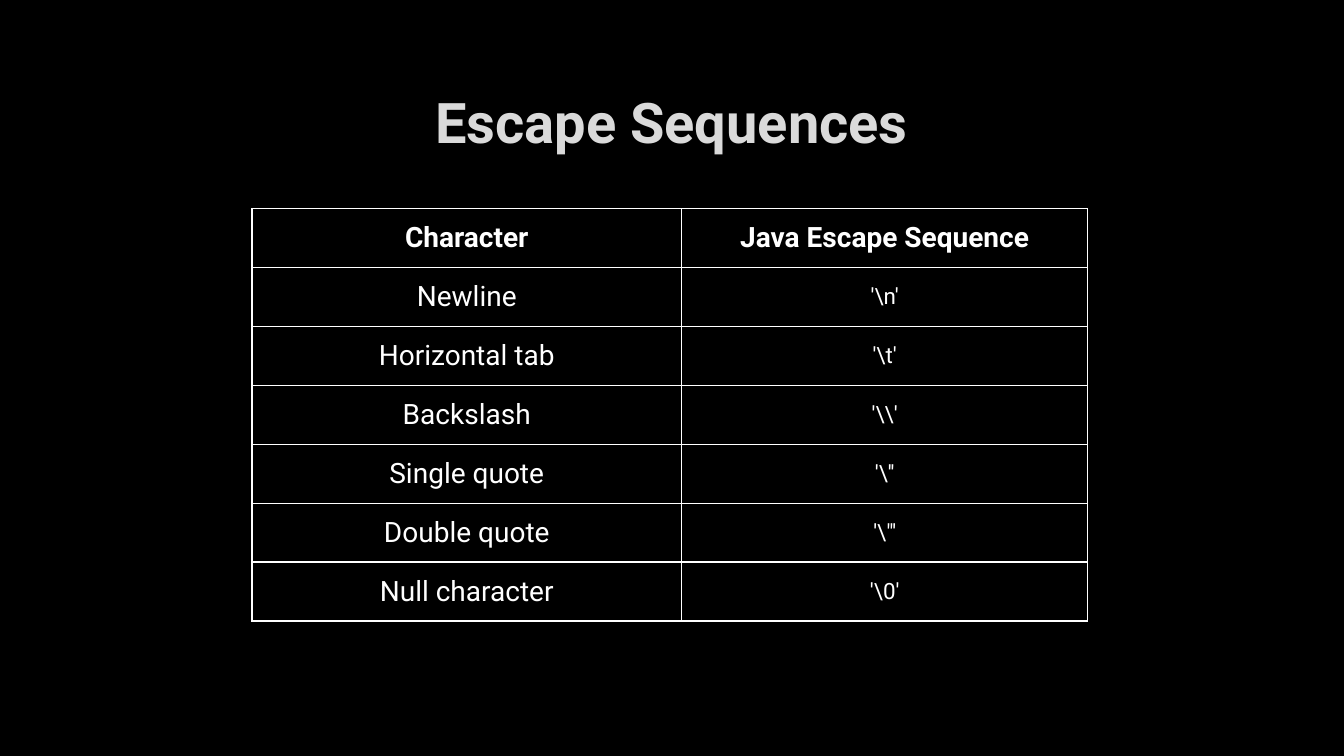
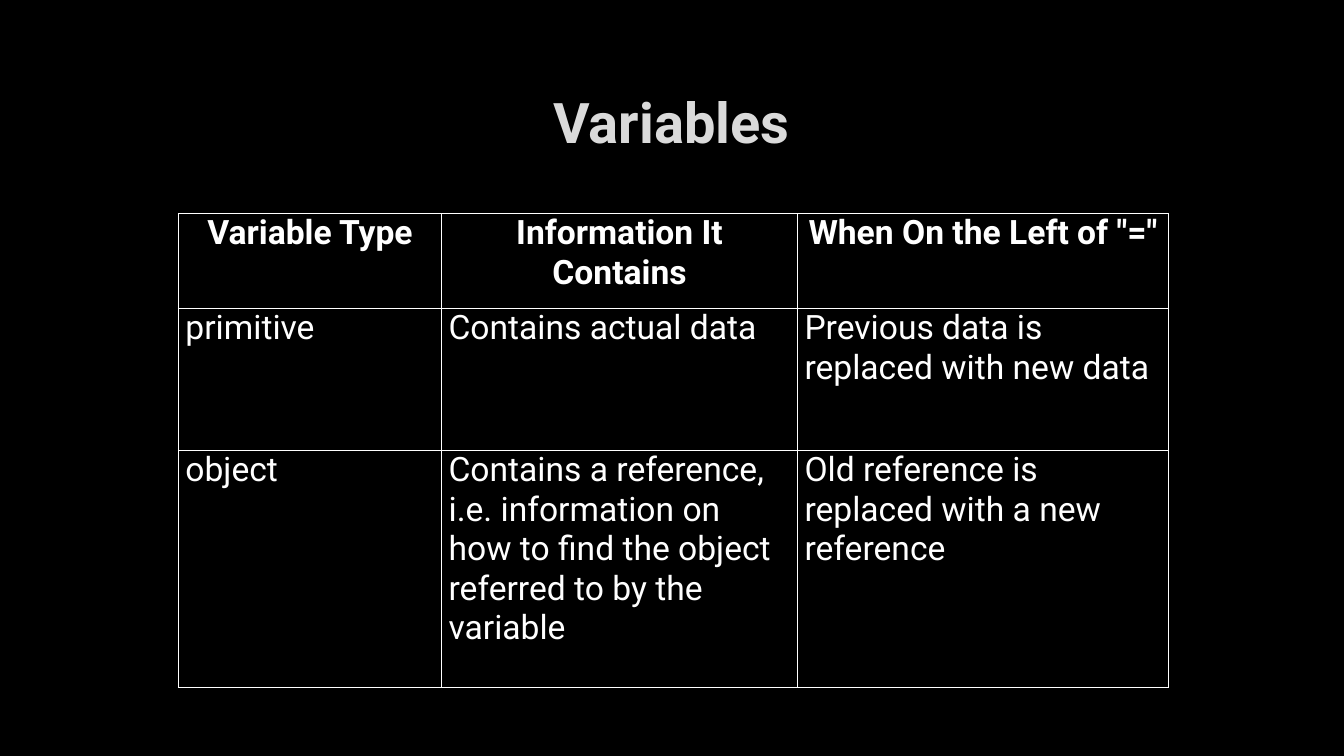
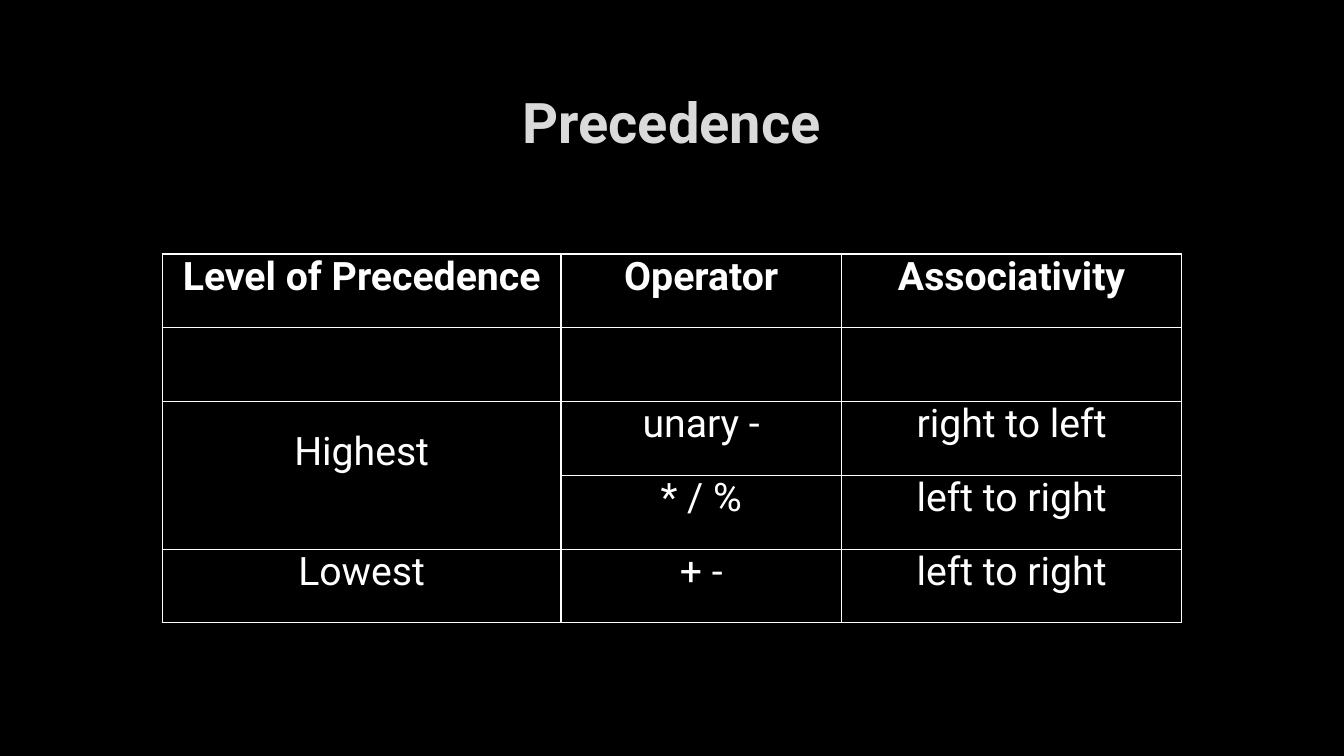
from lxml import etree
from pptx import Presentation
from pptx.dml.color import RGBColor
from pptx.enum.text import MSO_ANCHOR, PP_ALIGN
from pptx.oxml import ns
from pptx.util import Inches, Pt

COLORS = {"background": "000000", "title": "DADADA", "text": "FFFFFF", "border": "FFFFFF"}
FONT = "Roboto"
TITLE_BOX = (1, 0.67, 11.32, 1.06)
BORDER_WIDTH = Pt(1)
CELL_MARGINS = {"margin_left": 0.07, "margin_right": 0.07, "margin_top": 0, "margin_bottom": 0}

ESCAPE_SEQUENCES = {
    "title": "Escape Sequences",
    "box": (2.5, 2.07, 8.29, 4.09),
    "column_shares": (4.26, 4.03),
    "row_shares": (1,) * 7,
    "header_size": 20,
    "body_sizes": (20, 16),
    "body_align": PP_ALIGN.CENTER,
    "anchor": MSO_ANCHOR.MIDDLE,
    "rows": (
        ("Character", "Java Escape Sequence"),
        ("Newline", r"'\n'"),
        ("Horizontal tab", r"'\t'"),
        ("Backslash", r"'\\'"),
        ("Single quote", r"'\''"),
        ("Double quote", r"'\"'"),
        ("Null character", r"'\0'"),
    ),
}

VARIABLES = {
    "title": "Variables",
    "box": (1.77, 2.12, 9.82, 4.7),
    "column_shares": (2.61, 3.53, 3.68),
    "row_shares": (2, 3, 5),
    "header_size": 24,
    "body_sizes": (24, 24, 24),
    "body_align": PP_ALIGN.LEFT,
    "anchor": MSO_ANCHOR.TOP,
    "rows": (
        ("Variable Type", "Information It Contains", 'When On the Left of "="'),
        ("primitive", "Contains actual data", "Previous data is replaced with new data"),
        (
            "object",
            "Contains a reference, i.e. information on how to find the object "
            "referred to by the variable",
            "Old reference is replaced with a new reference",
        ),
    ),
}

PRECEDENCE = {
    "title": "Precedence",
    "box": (1.61, 2.52, 10.11, 3.66),
    "column_shares": (3.95, 2.78, 3.37),
    "row_shares": (1,) * 5,
    "header_size": 28,
    "body_sizes": (28, 28, 28),
    "body_align": PP_ALIGN.CENTER,
    "anchor": MSO_ANCHOR.TOP,
    "rows": (
        ("Level of Precedence", "Operator", "Associativity"),
        ("", "", ""),
        ("Highest", "unary -", "right to left"),
        ("", "* / %", "left to right"),
        ("Lowest", "+ -", "left to right"),
    ),
}


def set_attributes(target, values):
    for name, value in values.items():
        setattr(target, name, value)


def write_text(frame, content, size, color, bold, align):
    paragraph = frame.paragraphs[0]
    paragraph.alignment = align
    if not content:
        return
    run = paragraph.add_run()
    run.text = content
    set_attributes(run.font, {"name": FONT, "size": Pt(size), "bold": bold})
    run.font.color.rgb = RGBColor.from_string(COLORS[color])


def add_title(slide, box, title):
    frame = slide.shapes.add_textbox(*map(Inches, box)).text_frame
    set_attributes(frame, {"word_wrap": True, "vertical_anchor": MSO_ANCHOR.MIDDLE})
    write_text(frame, title, 40, "title", True, PP_ALIGN.CENTER)


def add_borders(cell):
    properties = cell._tc.get_or_add_tcPr()
    for side in ("lnL", "lnR", "lnT", "lnB"):
        line = etree.SubElement(properties, ns.qn(f"a:{side}"), w=str(BORDER_WIDTH))
        fill = etree.SubElement(line, ns.qn("a:solidFill"))
        etree.SubElement(fill, ns.qn("a:srgbClr"), val=COLORS["border"])


def share_out(tracks, total, shares):
    """Divide a length over table columns or rows in proportion to their shares."""
    for track, share in zip(tracks, shares):
        size = Inches(total * share / sum(shares))
        set_attributes(track, {"width" if hasattr(track, "width") else "height": size})


def add_grid_table(slide, box, content):
    rows = content["rows"]
    shape = slide.shapes.add_table(len(rows), len(rows[0]), *map(Inches, box))
    table = shape.table
    set_attributes(table, {"first_row": False, "horz_banding": False})
    share_out(table.columns, box[2], content["column_shares"])
    share_out(table.rows, box[3], content["row_shares"])
    for row_index, row in enumerate(rows):
        header = row_index == 0
        for column_index, value in enumerate(row):
            cell = table.cell(row_index, column_index)
            add_borders(cell)
            cell.fill.background()
            set_attributes(cell, {name: Inches(v) for name, v in CELL_MARGINS.items()})
            cell.vertical_anchor = content["anchor"]
            size = content["header_size"] if header else content["body_sizes"][column_index]
            align = PP_ALIGN.CENTER if header else content["body_align"]
            write_text(cell.text_frame, value, size, "text", header, align)
    return table


def add_table_slide(presentation, content):
    slide = presentation.slides.add_slide(presentation.slide_layouts[6])
    background = slide.background.fill
    background.solid()
    background.fore_color.rgb = RGBColor.from_string(COLORS["background"])
    add_title(slide, TITLE_BOX, content["title"])
    return add_grid_table(slide, content["box"], content)


def merge_highest_level(table):
    """Join the two rows of the highest level, its label one half line above the middle."""
    highest = table.cell(2, 0)
    highest.merge(table.cell(3, 0))
    set_attributes(
        highest, {"vertical_anchor": MSO_ANCHOR.MIDDLE, "margin_bottom": Inches(0.46)}
    )


def main():
    presentation = Presentation()
    set_attributes(
        presentation, {"slide_width": Inches(13.33), "slide_height": Inches(7.5)}
    )
    add_table_slide(presentation, ESCAPE_SEQUENCES)
    add_table_slide(presentation, VARIABLES)
    merge_highest_level(add_table_slide(presentation, PRECEDENCE))
    presentation.save("out.pptx")


if __name__ == "__main__":
    main()
